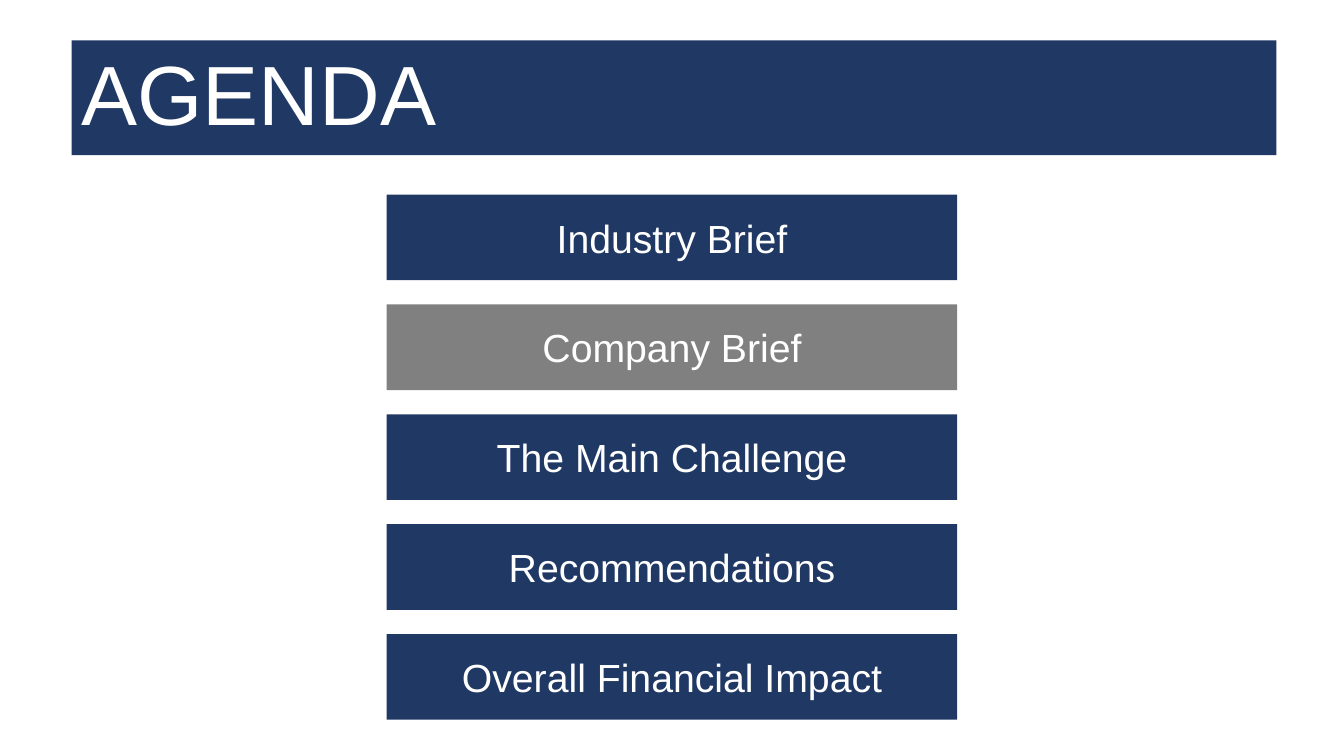
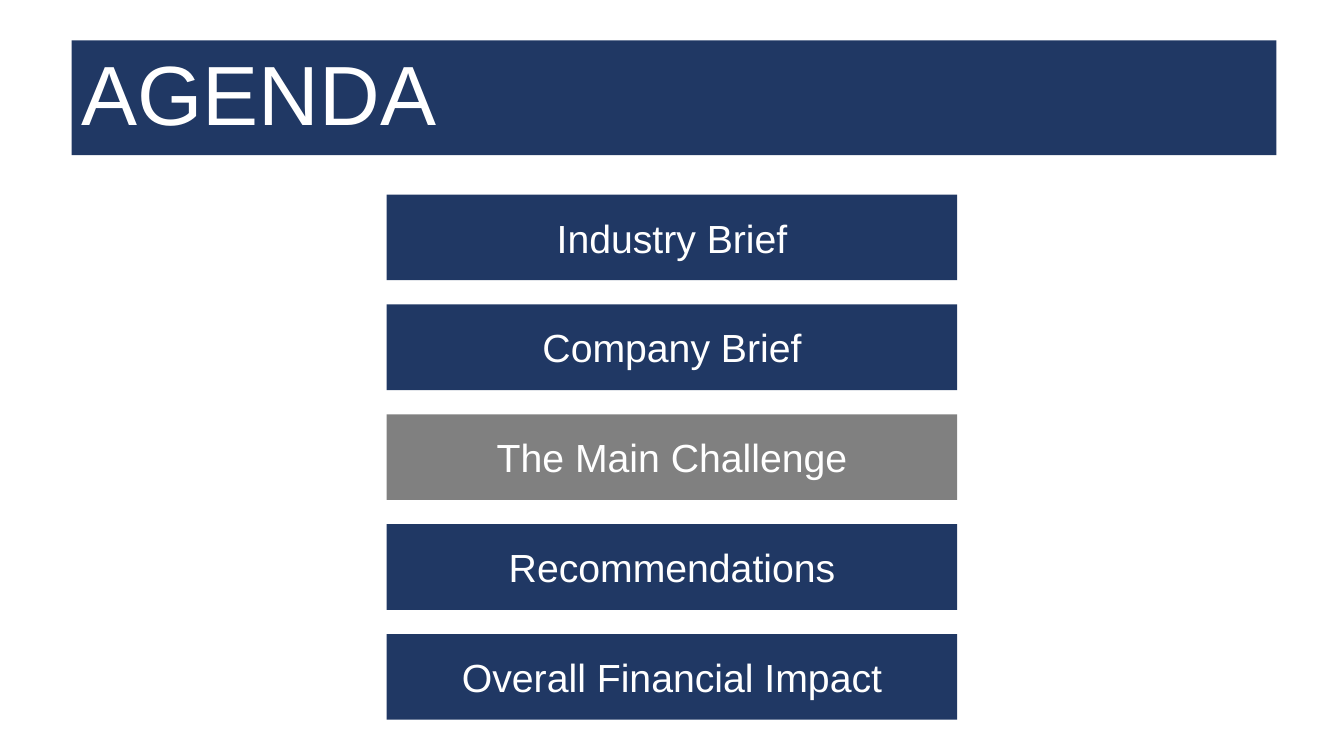
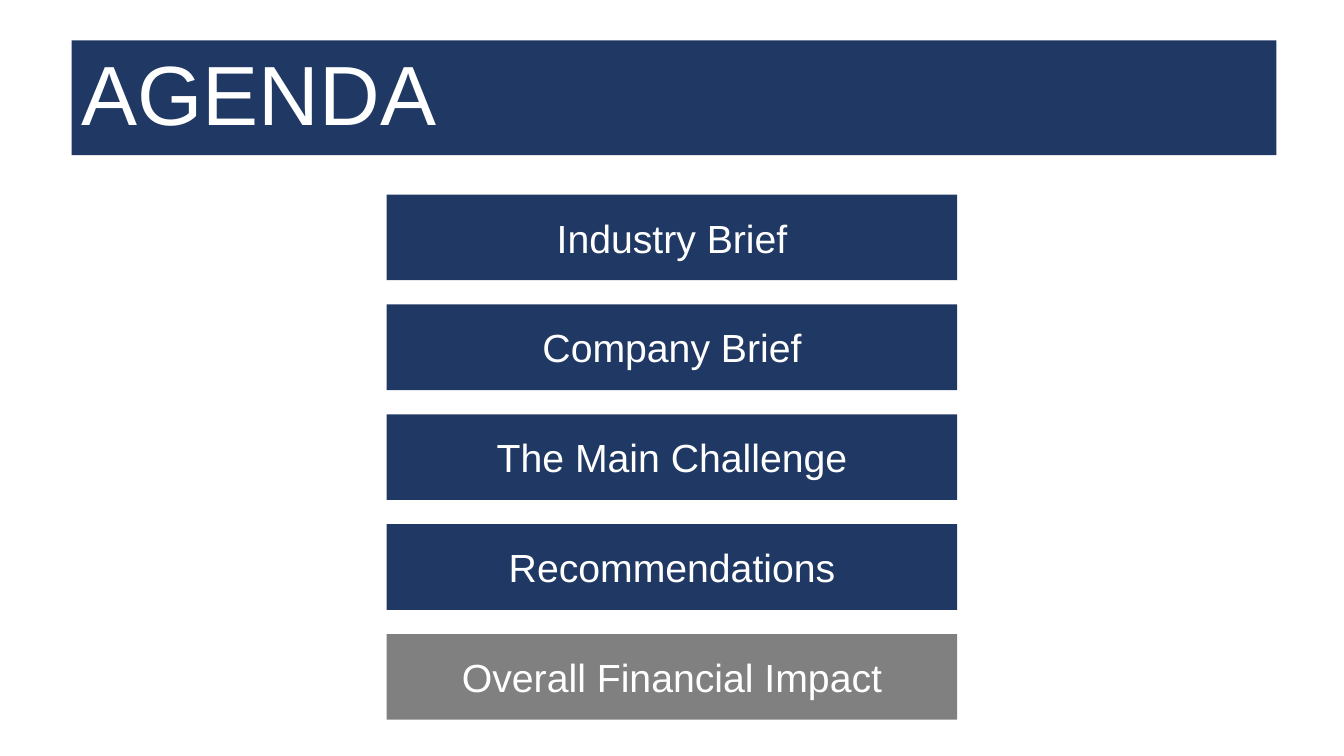
from dataclasses import dataclass

from pptx import Presentation
from pptx import util as u
from pptx.dml.color import RGBColor
from pptx.enum import shapes, text

# Content: each slide highlights one topic
TITLE = "AGENDA"
TOPICS = [
    "Industry Brief",
    "Company Brief",
    "The Main Challenge",
    "Recommendations",
    "Overall Financial Impact",
]
HIGHLIGHTS = ["Company Brief", "The Main Challenge", "Overall Financial Impact"]


@dataclass(frozen=True)
class Theme:
    font: str = "Arial"
    navy: RGBColor = RGBColor(0x20, 0x38, 0x64)
    gray: RGBColor = RGBColor(0x80, 0x80, 0x80)
    white: RGBColor = RGBColor(0xFF, 0xFF, 0xFF)
    title_size: int = 60
    topic_size: int = 28


THEME = Theme()

# Layout in inches
SLIDE_W, SLIDE_H = 13.33, 7.5
BAND = (0.71, 0.4, 11.95, 1.14)
TOPIC_W, TOPIC_H = 5.66, 0.85
TOPIC_TOP, TOPIC_STEP = 1.93, 1.09


def style_box(sp, fill, label, size, align):
    """Fill a box and set its single line of white text."""
    sp.fill.solid()
    sp.fill.fore_color.rgb = fill
    sp.line.fill.background()
    tf = sp.text_frame
    tf.text = label
    tf.word_wrap = True
    tf.auto_size = text.MSO_AUTO_SIZE.NONE
    tf.vertical_anchor = text.MSO_ANCHOR.MIDDLE
    p = tf.paragraphs[0]
    p.alignment = align
    font = p.runs[0].font
    font.name, font.size = THEME.font, u.Pt(size)
    font.color.rgb = THEME.white
    return p


def add_title(s):
    sp = s.shapes.title
    sp.left, sp.top, sp.width, sp.height = map(u.Inches, BAND)
    p = style_box(sp, THEME.navy, TITLE, THEME.title_size, text.PP_ALIGN.LEFT)
    p.line_spacing = 0.9


def add_topics(s, highlight):
    left = (SLIDE_W - TOPIC_W) / 2
    for row, topic in enumerate(TOPICS):
        box = (left, TOPIC_TOP + row * TOPIC_STEP, TOPIC_W, TOPIC_H)
        sp = s.shapes.add_shape(shapes.MSO_SHAPE.RECTANGLE, *map(u.Inches, box))
        sp.shadow.inherit = False
        fill = THEME.gray if topic == highlight else THEME.navy
        style_box(sp, fill, topic, THEME.topic_size, text.PP_ALIGN.CENTER)


def main():
    prs = Presentation()
    prs.slide_width, prs.slide_height = u.Inches(SLIDE_W), u.Inches(SLIDE_H)
    title_only = prs.slide_layouts.get_by_name("Title Only")
    for highlight in HIGHLIGHTS:
        s = prs.slides.add_slide(title_only)
        add_title(s)
        add_topics(s, highlight)
    prs.save("out.pptx")


if __name__ == "__main__":
    main()
